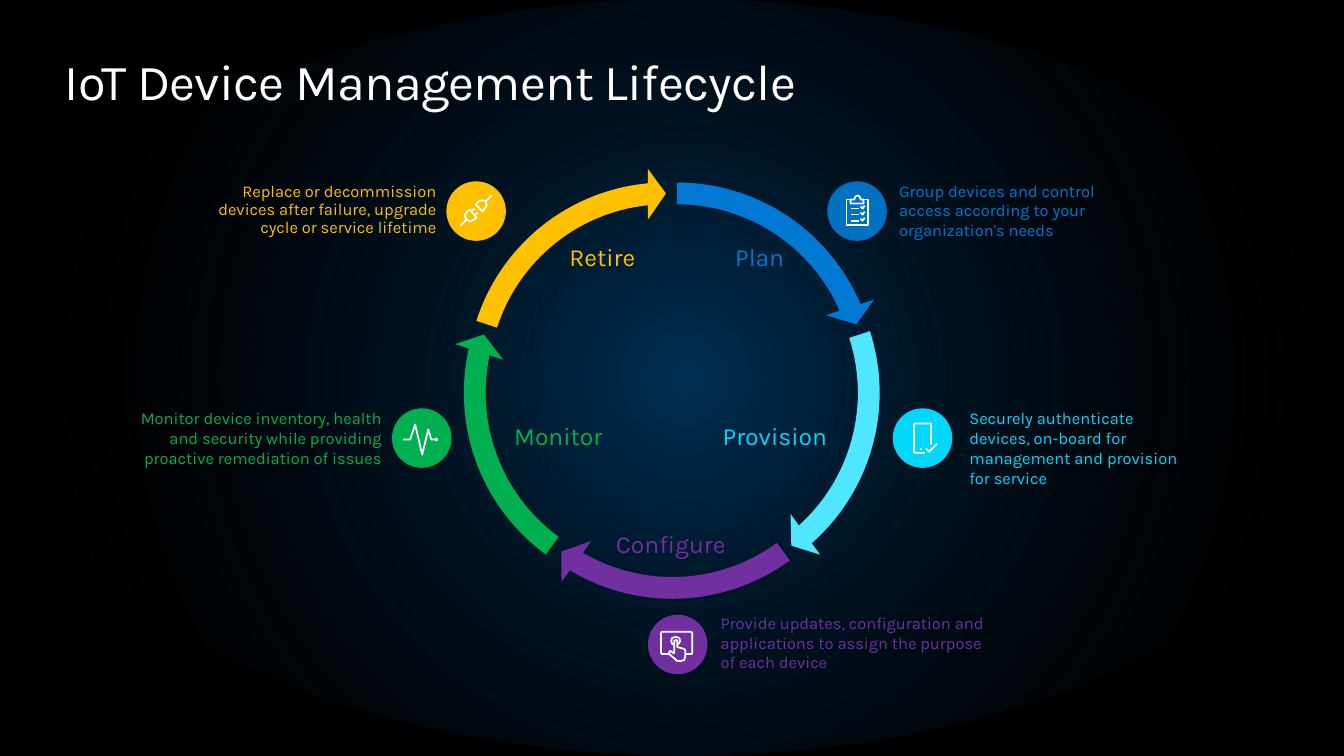
"""Build the IoT device management lifecycle slide."""
from lxml import etree
from pptx import Presentation
from pptx import util as u
from pptx.dml import color
from pptx.enum import shapes, text
from pptx.oxml import ns

LEFT, CENTER, RIGHT = text.PP_ALIGN.LEFT, text.PP_ALIGN.CENTER, text.PP_ALIGN.RIGHT
TOP, MIDDLE = text.MSO_ANCHOR.TOP, text.MSO_ANCHOR.MIDDLE
ICON_UNIT = u.Cm(0.0254)
BADGE = 1.5
FULL_TURN = 216
STAGE_TURN = FULL_TURN / 5

PLUG_ICON = [
    ([(29, 23), (32, 20), (34, 18.6), (37, 18.6), (39, 20), (40.4, 23.6),
      (38, 27), (36, 30)], True),
    ([(23, 28), (20, 31), (18.5, 34.5), (20, 38), (23.5, 39.5), (27, 38),
      (30, 36)], True),
    ([(39, 20), (45, 14)], False),
    ([(20, 38), (14, 44)], False),
    ([(28, 27), (24, 30)], False),
    ([(31, 31), (28, 34)], False),
]
CHECKLIST_ICON = [
    ([(27, 17), (28, 14.8), (30, 14), (32, 14.8), (33, 17), (33, 18), (36, 18),
      (36, 22), (23, 22), (23, 18), (27, 18)], True),
    ([(23, 18), (19, 18), (19, 43), (40, 43), (40, 18), (36, 18)], False),
    *[([(23, y), (31, y)], False) for y in (27, 33, 39)],
    *[([(33, y - 2), (35, y), (37, y - 3)], False) for y in (27, 33, 39)],
]
PHONE_ICON = [
    ([(32, 44), (22, 44), (21, 43), (21, 16), (22, 15), (37, 15), (38, 16),
      (38, 36)], False),
    ([(33, 40), (36, 43), (44, 35)], False),
    ([(27, 40), (29, 40)], False),
]
TOUCH_ICON = [
    ([(29, 32), (29, 26), (27.5, 25), (26, 26), (26, 38), (25, 38), (24, 37),
      (22.5, 36.4), (21, 37), (21, 39), (27, 44), (29, 45.5), (32, 46),
      (35.6, 44.6), (37, 41), (37, 35), (36, 34)], True),
    ([(29, 30), (31, 28.5), (32, 26), (31, 23.3), (27.5, 22), (24.2, 23.2),
      (23, 26), (24, 28.8), (26, 30)], False),
    ([(37, 39), (43, 39), (44, 38), (44, 18), (43, 17), (14, 17), (13, 18),
      (13, 38), (14, 39), (22, 39)], False),
]
PULSE_ICON = [
    ([(11, 31), (18, 31), (23, 16), (30, 46), (36, 21), (39, 31), (43, 31)], False),
    ([(43, 31), (44, 32), (45, 31), (44, 30)], True),
]

ARROWS = [
    (11.68, 4.24, "0078D4"),
    (11.76, 4.5, "50E6FF"),
    (11.56, 4.65, "7030A0"),
    (11.33, 4.5, "00B050"),
    (11.4, 4.24, "FFC000"),
]
LABELS = [
    ("Plan", 18.42, 6.17, 1.45, "0078D4"),
    ("Provision", 18.03, 10.69, 3, "00D7FB"),
    ("Configure", 15.47, 13.39, 2.87, "7030A0"),
    ("Monitor", 12.9, 10.69, 2.34, "00B050"),
    ("Retire", 14.05, 6.17, 2.26, "FFC000"),
]
NOTES = [
    ("Group devices and control access according to your organization's needs",
     (22.66, 4.55, 5.99, 1.5), (20.85, 4.57), CHECKLIST_ICON, "0078D4", "0070C0",
     LEFT, 1),
    ("Securely authenticate devices, on-board for management and provision for service",
     (24.43, 10.29, 5.54, 1.5), (22.5, 10.29), PHONE_ICON, "00D7FB", "00D7FB",
     LEFT, 1),
    ("Provide updates, configuration and applications to assign the purpose of each device",
     (18.16, 15.44, 6.65, 1.5), (16.33, 15.49), TOUCH_ICON, "7030A0", "7030A0",
     LEFT, 1),
    ("Monitor device inventory, health and security while providing proactive"
     " remediation of issues",
     (3.02, 10.29, 6.6, 1.5), (9.88, 10.29), PULSE_ICON, "00B050", "00B050",
     RIGHT, 1),
    ("Replace or decommission devices after failure, upgrade cycle or service lifetime",
     (4.9, 4.62, 6.1, 1.35), (11.25, 4.57), PLUG_ICON, "FFC000", "FFC000",
     RIGHT, 0.9),
]


def paint(target, hex_code):
    """Give a fill a solid colour."""
    target.solid()
    target.fore_color.rgb = color.RGBColor.from_string(hex_code)


def lengths(*values):
    """Turn centimetre numbers into lengths."""
    return [u.Cm(value) for value in values]


def write(box, words, size, hex_code, align=LEFT, anchor=TOP, leading=1, tracking=0):
    """Fill a text shape with one formatted paragraph."""
    frame = box.text_frame
    frame.word_wrap = True
    frame.auto_size = text.MSO_AUTO_SIZE.NONE
    frame.vertical_anchor = anchor
    frame.margin_left = frame.margin_top = frame.margin_right = frame.margin_bottom = 0
    para = frame.paragraphs[0]
    para.alignment = align
    para.line_spacing = leading
    span = para.add_run()
    span.text = words
    span.font.name = "Karla"
    span.font.size = u.Pt(size)
    paint(span.font.fill, hex_code)
    if tracking:
        span.font._element.set("spc", str(int(tracking * 100)))


def add_solid(parent, kind, place, hex_code):
    """Add a preset shape with a plain fill and no outline."""
    shape = parent.add_shape(kind, *lengths(*place))
    shape.shadow.inherit = False
    paint(shape.fill, hex_code)
    shape.line.fill.background()
    return shape


def add_glow(page):
    """Add the fading blue ellipse behind everything."""
    glow = add_solid(page.shapes, shapes.MSO_SHAPE.OVAL, (0, 0, 34.54, 19.05), "003C6A")
    glow.fill.background()
    gradient = etree.fromstring(
        f'<a:gradFill {ns.nsdecls("a")}><a:gsLst>'
        '<a:gs pos="0"><a:srgbClr val="003C6A"><a:alpha val="80000"/></a:srgbClr></a:gs>'
        '<a:gs pos="90000"><a:srgbClr val="000000"><a:alpha val="0"/></a:srgbClr></a:gs>'
        '</a:gsLst><a:path path="circle">'
        '<a:fillToRect l="50000" t="50000" r="50000" b="50000"/></a:path></a:gradFill>')
    properties = glow.element.spPr
    properties.replace(properties.find(ns.qn("a:noFill")), gradient)
    page.shapes.element.insert(2, glow.element)


def add_arrow(page, stage, left, top, hex_code):
    """Add the ring arrow of one stage."""
    arrow = add_solid(page.shapes, shapes.MSO_SHAPE.CIRCULAR_ARROW,
                      (left, top, 10.77, 10.8), hex_code)
    turn = stage * STAGE_TURN
    settings = (0.051, 3.275, (201.92 + turn) % FULL_TURN, (162 + turn) % FULL_TURN, 0.059)
    for index, value in enumerate(settings):
        arrow.adjustments[index] = value


def add_icon(parent, left, top, strokes):
    """Draw white icon strokes inside a badge."""
    builder = parent.build_freeform(*strokes[0][0][0], scale=ICON_UNIT)
    for points, closed in strokes:
        builder.move_to(*points[0])
        builder.add_line_segments(points[1:], close=closed)
    icon = builder.convert_to_shape(*lengths(left, top))
    icon.shadow.inherit = False
    icon.fill.background()
    paint(icon.line.fill, "FFFFFF")
    icon.line.width = u.Pt(1.25)


def add_note(page, words, place, badge, strokes, ink, fill, align, leading):
    """Add a group of description, round badge and icon."""
    parent = page.shapes.add_group_shape().shapes
    write(parent.add_textbox(*lengths(*place)), words, 11.8, ink,
          align=align, leading=leading)
    add_solid(parent, shapes.MSO_SHAPE.OVAL, (*badge, BADGE, BADGE), fill)
    add_icon(parent, *badge, strokes)


def main():
    """Build and save the deck."""
    deck = Presentation()
    deck.slide_width, deck.slide_height = lengths(33.87, 19.05)
    page = deck.slides.add_slide(deck.slide_layouts[5])
    paint(page.background.fill, "000000")
    add_glow(page)
    title = page.shapes.title
    title.left, title.top, title.width, title.height = lengths(1.63, 1.27, 30.61, 1.55)
    write(title, "IoT Device Management Lifecycle", 36, "FFFFFF", tracking=-0.5)
    for words, left, top, width, ink in LABELS:
        write(page.shapes.add_textbox(*lengths(left, top, width, 0.69)), words, 17.6, ink,
              align=CENTER, anchor=MIDDLE, leading=0.9)
    for stage, arrow in enumerate(ARROWS):
        add_arrow(page, stage, *arrow)
    for note in NOTES:
        add_note(page, *note)
    deck.save("out.pptx")


if __name__ == "__main__":
    main()
